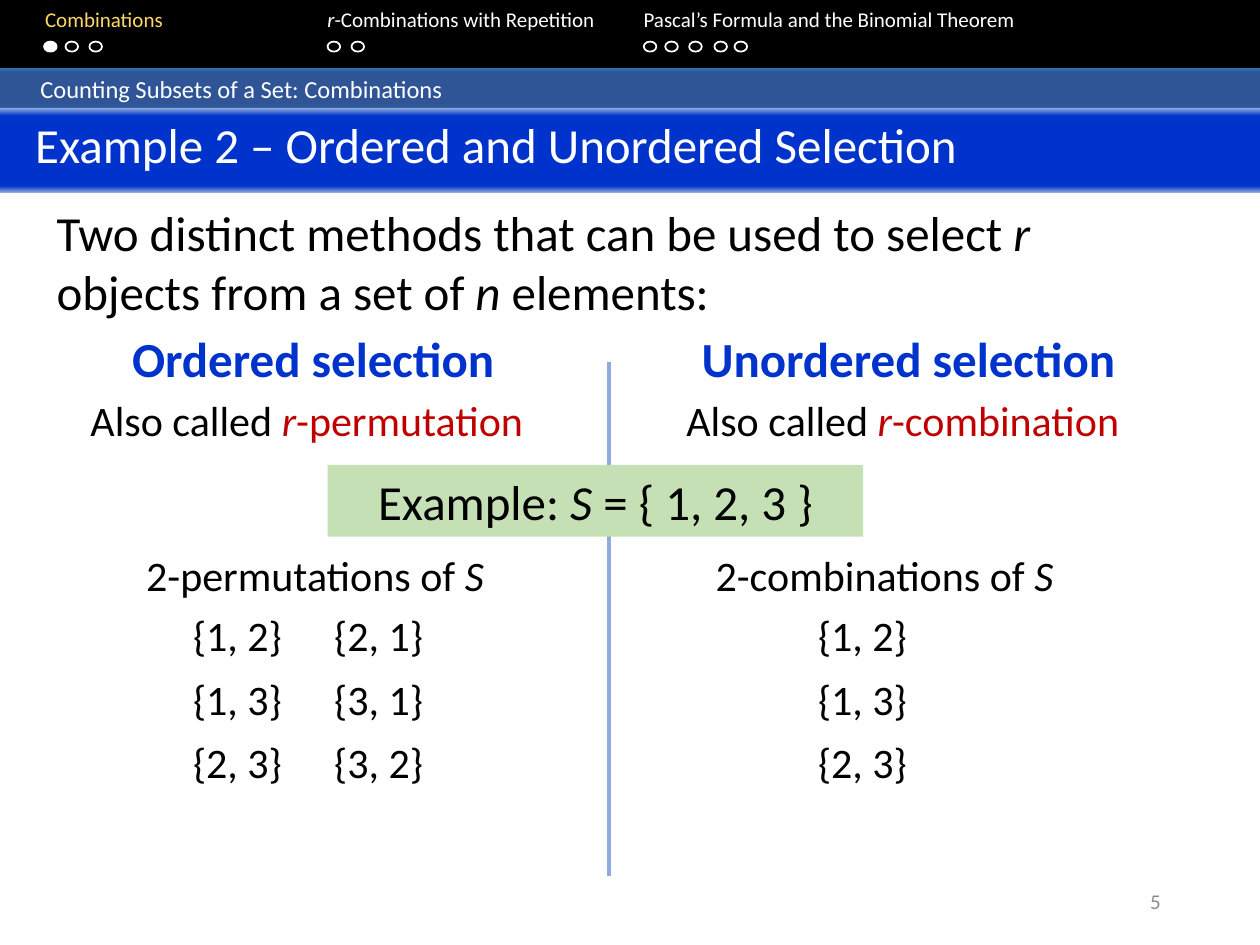
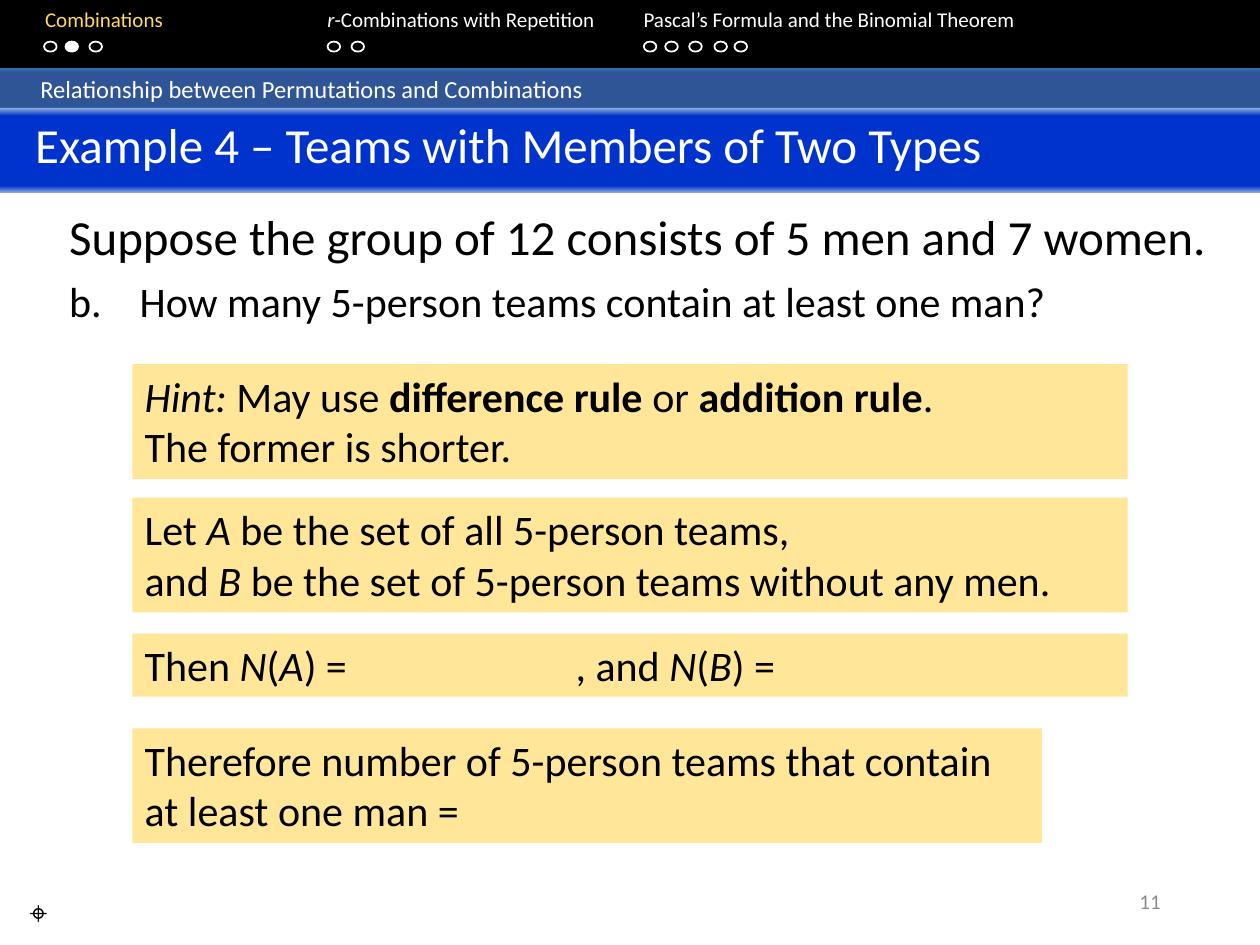
from dataclasses import dataclass
from typing import NamedTuple

from lxml.etree import SubElement
from pptx import Presentation
from pptx.dml.color import RGBColor as Rgb
from pptx.enum.shapes import MSO_CONNECTOR as Link, MSO_SHAPE as Kind
from pptx.enum.text import MSO_ANCHOR as Anchor, PP_ALIGN as Align
from pptx.oxml.ns import qn
from pptx.shapes.autoshape import Shape
from pptx.slide import Slide
from pptx.text.text import _Paragraph as Para
from pptx.util import Inches, Pt


@dataclass(frozen=True)
class Theme:
    font: str = "Calibri"
    white: str = "FFFFFF"
    black: str = "000000"
    gold: str = "FFD966"
    blue: str = "0033CC"
    red: str = "C00000"
    gray: str = "8C8C8C"
    rule: str = "8FAADC"
    green: str = "C5E0B4"
    cream: str = "FFE699"
    topic_fade: tuple = ((0, "2E75B6"), (11, "2F5597"), (91, "2F5597"), (100, "2E75B6"))
    title_fade: tuple = ((0, "8FAADC"), (9, "0033CC"), (92, "0033CC"), (100, "8FAADC"))
    small: int = 12
    topic: int = 14
    mark: int = 18
    body: int = 24
    head: int = 28


class Box(NamedTuple):
    left: float
    top: float
    width: float
    height: float


class Run(NamedTuple):
    text: str
    italic: bool = False
    bold: bool = False
    color: str = ""


class Part(NamedTuple):
    """One section of the talk in the top bar, with its progress dots."""
    tab: float
    runs: list[Run]
    dots: list[float]


class Note(NamedTuple):
    box: Box
    lines: list[list[Run]]
    tabs: list[float] = []


class Side(NamedTuple):
    """One half of the comparison."""
    name: str
    term: str
    plural: str
    head: Box
    also: Box
    lead: Box
    cols: list[float]
    sets: list[list[str]]


THEME = Theme()
PARTS = [
    Part(0.26, [Run("Combinations", color=THEME.gold)], [0.35, 0.52, 0.71]),
    Part(2.5, [Run("r", italic=True), Run("-Combinations with Repetition")], [2.6, 2.79]),
    Part(5.01, [Run("Pascal’s Formula and the Binomial Theorem")],
         [5.11, 5.28, 5.47, 5.67, 5.83]),
]
SIDES = [
    Side("Ordered selection", "-permutation", "2-permutations of ",
         Box(0.95, 2.56, 3.32, 0.57), Box(0.58, 3.08, 3.71, 0.5),
         Box(0.81, 4.31, 3.38, 0.5), [1.16, 2.28],
         [["{1, 2}", "{2, 1}"], ["{1, 3}", "{3, 1}"], ["{2, 3}", "{3, 2}"]]),
    Side("Unordered selection", "-combination", "2-combinations of ",
         Box(5.47, 2.56, 3.69, 0.57), Box(5.31, 3.08, 3.71, 0.5),
         Box(5.33, 4.31, 3.38, 0.5), [6.12],
         [["{1, 2}"], ["{1, 3}"], ["{2, 3}"]]),
]
NOTES = [
    Note(Box(1.05, 2.89, 7.9, 0.91), [
        [Run("Hint: ", italic=True), Run("May use "), Run("difference rule ", bold=True),
         Run("or "), Run("addition rule", bold=True), Run(".")],
        [Run("The former is shorter.")]]),
    Note(Box(1.05, 3.95, 7.9, 0.91), [
        [Run("Let "), Run("A", italic=True), Run(" be the set of all 5-person teams,")],
        [Run("and "), Run("B", italic=True),
         Run(" be the set of 5-person teams without any men.")]]),
    Note(Box(1.05, 5.03, 7.9, 0.5), [
        [Run("Then "), Run("N", italic=True), Run("("), Run("A", italic=True),
         Run(") =\t, and "), Run("N", italic=True), Run("("), Run("B", italic=True),
         Run(") =")]], [3.42]),
    Note(Box(1.05, 5.78, 7.22, 0.91), [
        [Run("Therefore number of 5-person teams that contain at least one man =")]]),
]


def place(box: Box) -> list[int]:
    return [Inches(size) for size in box]


def write(para: Para, runs: list[Run], size: int, color: str) -> None:
    for item in runs:
        run = para.add_run()
        run.text = item.text
        font = run.font
        font.name, font.size = THEME.font, Pt(size)
        font.italic, font.bold = item.italic, item.bold
        font.color.rgb = Rgb.from_string(item.color or color)


def set_tabs(para: Para, tabs: list[float]) -> None:
    stops = SubElement(para._p.get_or_add_pPr(), qn("a:tabLst"))
    for tab in tabs:
        SubElement(stops, qn("a:tab"), pos=str(Inches(tab)), algn="l")


def fill_text(shape: Shape, lines: list[list[Run]], size: int, color: str = THEME.black,
              align: Align = Align.LEFT, anchor: Anchor = Anchor.TOP) -> list[Para]:
    frame = shape.text_frame
    frame.word_wrap = True
    frame.vertical_anchor = anchor
    paras = [frame.paragraphs[0]] + [frame.add_paragraph() for _ in lines[1:]]
    for para, runs in zip(paras, lines):
        para.alignment = align
        write(para, runs, size, color)
    return paras


def add_text(slide: Slide, box: Box, runs: list[Run], size: int, color: str = THEME.black,
             align: Align = Align.LEFT, anchor: Anchor = Anchor.TOP) -> Para:
    shape = slide.shapes.add_textbox(*place(box))
    return fill_text(shape, [runs], size, color, align, anchor)[0]


def add_block(slide: Slide, box: Box, color: str = "", kind: Kind = Kind.RECTANGLE) -> Shape:
    shape = slide.shapes.add_shape(kind, *place(box))
    shape.shadow.inherit = False
    shape.line.fill.background()
    if color:
        shape.fill.solid()
        shape.fill.fore_color.rgb = Rgb.from_string(color)
    else:
        shape.fill.background()
    return shape


def add_band(slide: Slide, box: Box, fade: tuple, text: str, size: int, inset: float) -> None:
    band = add_block(slide, box)
    band.fill.gradient()
    band.fill.gradient_angle = 270
    stops = band._element.spPr.find(".//" + qn("a:gsLst"))
    for old in list(stops):
        stops.remove(old)
    for spot, color in fade:
        stop = SubElement(stops, qn("a:gs"), pos=str(spot * 1000))
        SubElement(stop, qn("a:srgbClr"), val=color)
    band.text_frame.margin_left = Inches(inset)
    fill_text(band, [[Run(text)]], size, THEME.white)


def add_dot(slide: Slide, left: float, full: bool) -> None:
    dot = add_block(slide, Box(left, 0.33, 0.1, 0.08), THEME.white if full else "", Kind.OVAL)
    dot.line.color.rgb = Rgb.from_string(THEME.white)
    dot.line.width = Pt(1)


def add_frame(deck: Presentation, topic: str, title: str, page: int, step: int) -> Slide:
    """Add a slide with the bars, progress dots and page number; step is the full dot."""
    slide = deck.slides.add_slide(deck.slide_layouts[6])
    add_block(slide, Box(0, -0.02, 10, 0.56), THEME.black)
    runs = [run for part in PARTS for run in (Run("\t"), *part.runs)]
    nav = add_text(slide, Box(0, 0, 10, 0.5), runs, THEME.small, THEME.white)
    set_tabs(nav, [part.tab for part in PARTS])
    dots = [left for part in PARTS for left in part.dots]
    for spot, left in enumerate(dots):
        add_dot(slide, left, spot == step)
    add_band(slide, Box(0, 0.54, 10, 0.33), THEME.topic_fade, topic, THEME.topic, 0.32)
    add_band(slide, Box(0, 0.86, 10, 0.67), THEME.title_fade, title, THEME.head, 0.28)
    add_text(slide, Box(7.06, 6.95, 2.25, 0.4), [Run(str(page))], THEME.small, THEME.gray,
             Align.RIGHT, Anchor.MIDDLE)
    return slide


def add_rule(slide: Slide) -> None:
    ends = [Inches(size) for size in (4.83, 2.87, 4.83, 6.95)]
    rule = slide.shapes.add_connector(Link.STRAIGHT, *ends)
    rule.line.color.rgb = Rgb.from_string(THEME.rule)
    rule.line.width = Pt(2.25)
    SubElement(rule._element.spPr, qn("a:effectLst"))


def add_side(slide: Slide, side: Side) -> None:
    add_text(slide, side.head, [Run(side.name, bold=True)], THEME.head, THEME.blue)
    also = [Run("Also called "), Run("r", italic=True, color=THEME.red),
            Run(side.term, color=THEME.red)]
    add_text(slide, side.also, also, THEME.body, align=Align.CENTER)
    lead = [Run(side.plural), Run("S", italic=True)]
    add_text(slide, side.lead, lead, THEME.body, align=Align.CENTER)
    for row, sets in enumerate(side.sets):
        for left, text in zip(side.cols, sets):
            box = Box(left, 4.79 + 0.505 * row, 1.45, 0.5)
            add_text(slide, box, [Run(text)], THEME.body, align=Align.CENTER)


def add_select(deck: Presentation) -> None:
    slide = add_frame(deck, "Counting Subsets of a Set: Combinations",
                      "Example 2 – Ordered and Unordered Selection", 5, 0)
    intro = [Run("Two distinct methods that can be used to select "), Run("r", italic=True),
             Run(" objects from a set of "), Run("n", italic=True), Run(" elements:")]
    add_text(slide, Box(0.35, 1.56, 9.15, 1.04), intro, THEME.head)
    add_rule(slide)
    for side in SIDES:
        add_side(slide, side)
    case = add_block(slide, Box(2.6, 3.69, 4.25, 0.57), THEME.green)
    runs = [Run("Example: "), Run("S", italic=True), Run(" = { 1, 2, 3 }")]
    fill_text(case, [runs], THEME.head, align=Align.CENTER)


def add_teams(deck: Presentation) -> None:
    slide = add_frame(deck, "Relationship between Permutations and Combinations",
                      "Example 4 – Teams with Members of Two Types", 11, 1)
    first = add_text(slide, Box(0.45, 1.59, 9.32, 1.38),
                     [Run("Suppose the group of 12 consists of 5 men and 7 women.")], THEME.head)
    ask = first._parent.add_paragraph()
    write(ask, [Run("How many 5-person teams contain at least one man?")],
          THEME.body, THEME.black)
    for para in (first, ask):
        para.space_before = Pt(6)
    props = ask._p.get_or_add_pPr()
    props.set("marL", str(Inches(0.56)))
    props.set("indent", str(-Inches(0.56)))
    SubElement(props, qn("a:buAutoNum"), type="alphaLcPeriod", startAt="2")
    for note in NOTES:
        paras = fill_text(add_block(slide, note.box, THEME.cream), note.lines, THEME.body)
        if note.tabs:
            set_tabs(paras[0], note.tabs)
    add_text(slide, Box(0, 7.04, 0.61, 0.4), [Run("⌖")], THEME.mark, align=Align.CENTER)


def main() -> None:
    deck = Presentation()
    deck.slide_width, deck.slide_height = Inches(10), Inches(7.5)
    add_select(deck)
    add_teams(deck)
    deck.save("out.pptx")


if __name__ == "__main__":
    main()
